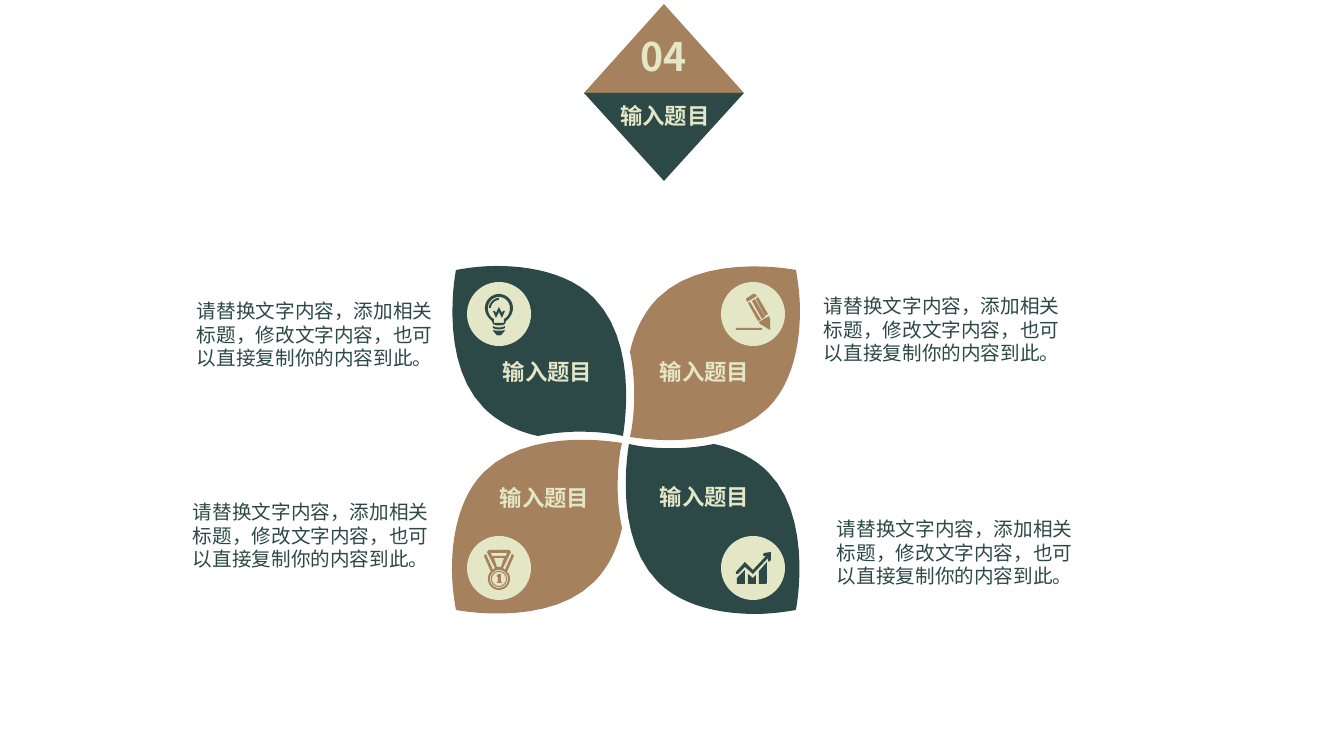
"""Build the four-petal slide with a numbered diamond heading."""
from lxml.etree import SubElement
from pptx import Presentation
from pptx.dml.color import RGBColor
from pptx.enum.shapes import MSO_SHAPE as SHAPE
from pptx.enum.text import MSO_ANCHOR as ANCHOR, MSO_AUTO_SIZE as AUTO, PP_ALIGN as ALIGN
from pptx.oxml.ns import qn
from pptx.util import Pt

PX = 12192000 / 1344
FONT = "Noto Sans CJK SC"
COLORS = {"green": "2C4947", "brown": "A6815D", "cream": "E3E7C6"}
HEADING = "输入题目"
BODY = "请替换文字内容，添加相关标题，修改文字内容，也可以直接复制你的内容到此。"
CENTER = (626, 440)
STEPS = 12

PETAL = [[
    (-3, -4), (-15, -7, -51, -12, -88, -4), (-107, -8, -127, -17, -142, -32),
    (-184, -74, -173, -154, -170, -170), (-164, -171, -148, -174, -129, -174),
    (-99, -174, -58, -168, -32, -142), (10, -99, 0, -23, -3, -4),
]]
BULB = [
    [(-6, 16), (-5, 18), (-3, 20), (-3, 22, 3, 22, 3, 20), (5, 18), (6, 16),
     (3, 17, -3, 17, -6, 16)],
    [(-6, 12), (-6, 14), (-3, 16, 3, 16, 6, 14), (6, 12), (3, 14, -3, 14, -6, 12)],
    [(3, -1), (0, -7), (-3, -1), (-4, -3), (-6, -3), (-3, 4), (0, -2), (3, 4),
     (6, -3), (4, -3)],
    [(0, -14), (0, -16), (-5, -16, -10, -11, -10, -6), (-8, -6),
     (-8, -10, -4, -14, 0, -14)],
    [(0, -20), (-7, -20, -14, -14, -14, -6), (-14, -1, -11, 4, -7, 7), (-6, 10),
     (-3, 12, 3, 12, 6, 10), (7, 7), (11, 4, 14, -1, 14, -6),
     (14, -14, 7, -20, 0, -20)],
    [(5, 5), (5, 9), (-5, 9), (-5, 5), (-9, 3, -11, -1, -11, -6),
     (-11, -12, -6, -17, 0, -17), (6, -17, 11, -12, 11, -6), (11, -1, 9, 3, 5, 5)],
]
PENCIL = [
    [(7, 10), (17, 16), (17, 5), (16, 2), (6, 8)],
    [(12, 2), (15, 0), (5, -17), (3, -15)],
    [(12, 3), (2, -15), (-1, -13), (9, 5)],
    [(-5, -11), (5, 7), (8, 6), (-3, -12)],
    [(-6, -12), (4, -18), (3, -19), (3, -20, 1, -20, 0, -20), (-6, -16),
     (-7, -16, -7, -14, -6, -13)],
    [(-17, 16), (9, 16), (9, 14), (-17, 14)],
]
MEDAL = [
    [(15, -12), (13, -14), (6, 2), (4, 0), (12, -16), (10, -18), (-10, -18),
     (-12, -16), (-4, 0), (-6, 2), (-13, -14), (-15, -12), (-8, 4),
     (-10, 5, -11, 8, -11, 11), (-11, 17, -6, 22, 0, 22), (6, 22, 11, 17, 11, 11),
     (11, 8, 10, 5, 8, 4)],
    [(-8, -15), (8, -15), (7, -12), (-7, -12)],
    [(-5, -10), (5, -10), (2, -1), (-2, -1)],
    [(2, 6), (0, 6), (-2, 7), (-2, 9), (-1, 9), (-1, 14), (-2, 14), (-2, 15),
     (3, 15), (3, 14), (2, 14)],
]
for radius in (9, 8, 7):
    k = 0.55 * radius
    top, bottom = 11 - radius, 11 + radius
    MEDAL.append([
        (0, top), (k, top, radius, 11 - k, radius, 11),
        (radius, 11 + k, k, bottom, 0, bottom),
        (-k, bottom, -radius, 11 + k, -radius, 11),
        (-radius, 11 - k, -k, top, 0, top),
    ])
GROWTH = [
    [(-5, 6), (-5, 16), (3, 16), (3, 7), (0, 10)],
    [(-16, 10), (-16, 16), (-8, 16), (-8, 2)],
    [(6, 3), (6, 16), (13, 16), (14, 15), (14, -6), (7, 2)],
    [(11, -15), (10, -13), (11, -12), (13, -12), (0, 2), (-8, -6), (-17, 4),
     (-17, 6), (-15, 6), (-8, -1), (0, 6), (15, -10), (15, -8), (16, -6),
     (18, -8), (18, -16)],
]


def draw(shapes, kind, box, color, turns=0):
    """Add a preset shape in a box, or an outline of lines and cubics round a point."""
    if isinstance(kind, list):
        builder = None
        for contour in kind:
            points = []
            for seg in contour:
                ends = list(zip(seg[::2], seg[1::2]))
                if len(ends) == 1:
                    points += ends
                    continue
                a, (b, c, d) = points[-1], ends
                for t in (i / STEPS for i in range(1, STEPS + 1)):
                    u = 1 - t
                    points.append(tuple(
                        u**3 * a[n] + 3 * u * u * t * b[n] + 3 * u * t * t * c[n] + t**3 * d[n]
                        for n in (0, 1)))
            for _ in range(turns):
                points = [(-y, x) for x, y in points]
            points = [((box[0] + x) * PX, (box[1] + y) * PX) for x, y in points]
            if builder is None:
                builder = shapes.build_freeform(*points[0])
            else:
                builder.move_to(*points[0])
            builder.add_line_segments(points[1:], close=True)
        sp = builder.convert_to_shape()
    else:
        sp = shapes.add_shape(kind, *[round(v * PX) for v in box])
    sp.shadow.inherit = False
    sp.fill.solid()
    sp.fill.fore_color.rgb = RGBColor.from_string(COLORS[color])
    sp.line.fill.background()
    return sp


def write(sp, box, text, size, color, bold=True, wrap=False):
    """Place a text shape and format its single run."""
    sp.left, sp.top, sp.width, sp.height = [round(v * PX) for v in box]
    tf = sp.text_frame
    tf.text = text
    tf.word_wrap = wrap
    tf.auto_size = AUTO.SHAPE_TO_FIT_TEXT
    tf.vertical_anchor = ANCHOR.TOP
    p = tf.paragraphs[0]
    p.alignment = ALIGN.LEFT
    r = p.runs[0]
    r.font.size = Pt(size)
    r.font.bold = bold
    r.font.color.rgb = RGBColor.from_string(COLORS[color])
    r.font.name = FONT
    SubElement(r.font._element, qn("a:ea"), typeface=FONT)


prs = Presentation()
prs.slide_width, prs.slide_height = round(1344 * PX), round(756 * PX)
s = prs.slides.add_slide(prs.slide_layouts[5])

draw(s.shapes, SHAPE.ISOSCELES_TRIANGLE, (584, 4, 160, 89), "brown")
lower = draw(s.shapes, SHAPE.ISOSCELES_TRIANGLE, (584, 93, 160, 88), "green")
lower._element.spPr.find(qn("a:xfrm")).set("flipV", "1")
write(s.shapes.add_textbox(0, 0, 0, 0), (631, 27, 70, 57), "04", 28, "cream")
title = s.shapes.title
write(title, (610, 97, 111, 37), HEADING, 16, "cream")
title._element.getparent().append(title._element)

PETALS = [
    ("green", 0, (499, 314), BULB, (493, 353), (187, 294)),
    ("brown", 1, (753, 314), PENCIL, (650, 353), (814, 289)),
    ("brown", 3, (499, 568), MEDAL, (490, 479), (183, 495)),
    ("green", 2, (753, 568), GROWTH, (650, 478), (827, 512)),
]
for color, turns, (cx, cy), icon, label, body in PETALS:
    write(s.shapes.add_textbox(0, 0, 0, 0), (*body, 260, 82), BODY, 14, "green",
          bold=False, wrap=True)
    group = s.shapes.add_group_shape().shapes
    draw(group, PETAL, CENTER, color, turns)
    draw(group, SHAPE.OVAL, (cx - 32, cy - 32, 64, 64), "cream")
    draw(group, icon, (cx, cy), color)
    write(group.add_textbox(0, 0, 0, 0), (*label, 111, 37), HEADING, 16, "cream")

prs.save("out.pptx")
